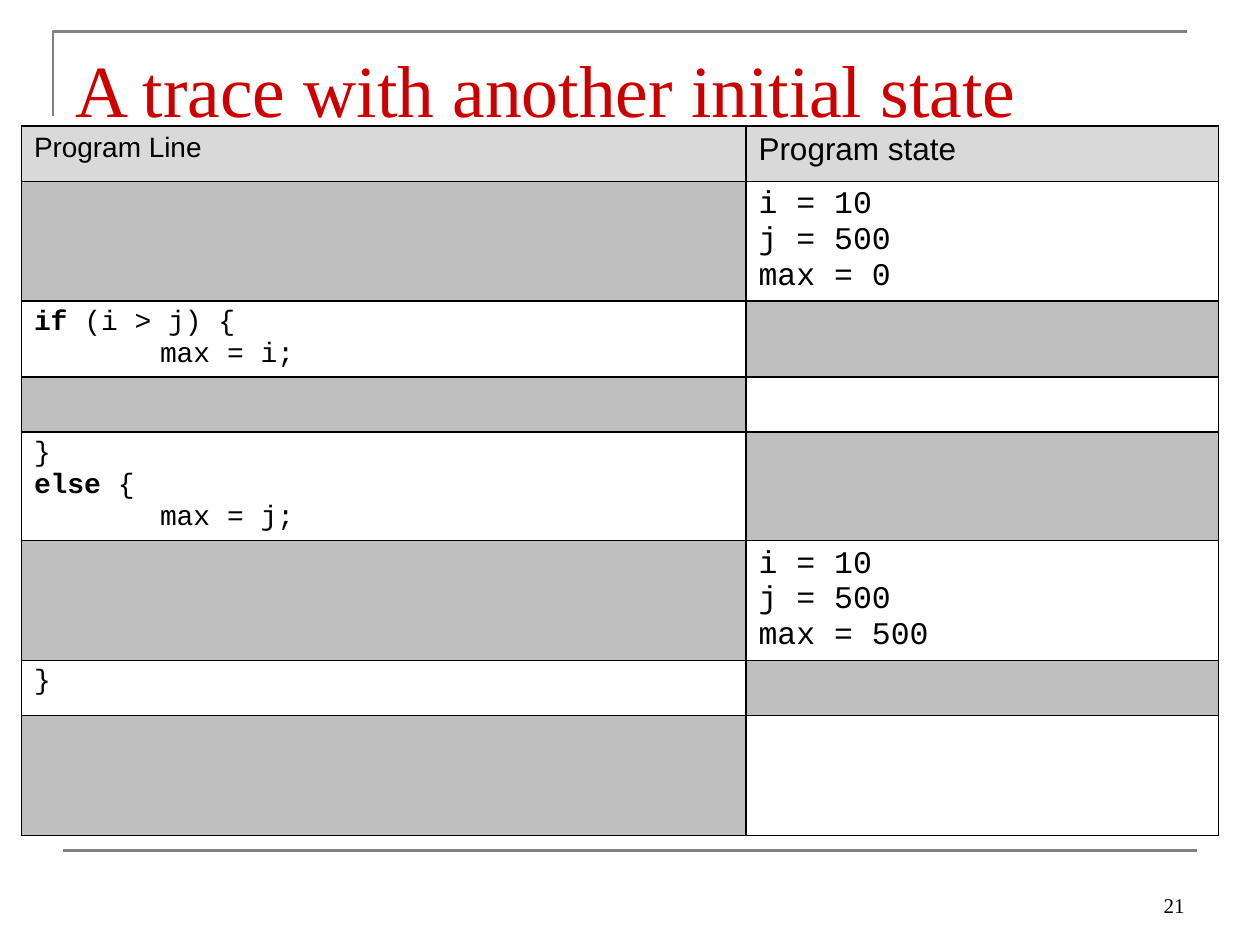
from lxml.etree import SubElement
from pptx import Presentation
from pptx.dml.color import RGBColor
from pptx.enum.shapes import MSO_CONNECTOR
from pptx.enum.text import MSO_ANCHOR, PP_ALIGN
from pptx.oxml.ns import qn
from pptx.util import Inches, Pt

BLACK, RULE_GRAY = "000000", "808080"
HEADER, UNUSED, WHITE = "D9D9D9", "BFBFBF", "FFFFFF"
SERIF, SANS, MONO = "Times New Roman", "Arial", "Courier New"
KEYWORDS = ("if", "else")
COLUMN_WIDTHS = (5.75, 3.75)
TRACE = [
    (0.95, None, ["i = 10", "j = 500", "max = 0"]),
    (0.6, ["if (i > j) {", "\tmax = i;"], None),
    (0.44, None, []),
    (0.86, ["}", "else {", "\tmax = j;"], None),
    (0.95, None, ["i = 10", "j = 500", "max = 500"]),
    (0.44, ["}"], None),
    (0.95, None, []),
]


def color(value):
    return RGBColor.from_string(value)


def add_run(paragraph, text, size, face, ink=BLACK, bold=False):
    run = paragraph.add_run()
    run.text = text
    run.font.size = Pt(size)
    run.font.name = face
    run.font.bold = bold
    run.font.color.rgb = color(ink)


def add_label(slide, text, left, top, width, height, size, ink, align, anchor):
    label = slide.shapes.add_textbox(
        Inches(left), Inches(top), Inches(width), Inches(height))
    frame = label.text_frame
    frame.word_wrap = True
    frame.vertical_anchor = anchor
    frame.paragraphs[0].alignment = align
    add_run(frame.paragraphs[0], text, size, SERIF, ink)


def style_rule(rule):
    rule.line.color.rgb = color(RULE_GRAY)
    rule.line.width = Pt(1.5)


def add_frame_rules(slide):
    builder = slide.shapes.build_freeform(Inches(0.42), Inches(0.92))
    builder.add_line_segments(
        [(Inches(0.42), Inches(0.25)), (Inches(9.42), Inches(0.25))], close=False)
    corner = builder.convert_to_shape()
    corner.shadow.inherit = False
    corner.fill.background()
    style_rule(corner)
    footer = slide.shapes.add_connector(
        MSO_CONNECTOR.STRAIGHT, Inches(0.5), Inches(6.75), Inches(9.5), Inches(6.75))
    style_rule(footer)
    SubElement(footer._element.spPr, qn("a:effectLst"))


def add_borders(cell):
    properties = cell._tc.get_or_add_tcPr()
    for position, side in enumerate(("a:lnL", "a:lnR", "a:lnT", "a:lnB")):
        border = properties.makeelement(qn(side), {"w": str(Pt(1))})
        fill = SubElement(border, qn("a:solidFill"))
        SubElement(fill, qn("a:srgbClr"), val=BLACK)
        properties.insert(position, border)


def set_code_tab(paragraph):
    properties = paragraph._p.get_or_add_pPr()
    properties.set("defTabSz", str(Inches(1)))
    stops = SubElement(properties, qn("a:tabLst"))
    SubElement(stops, qn("a:tab"), pos=str(Inches(1)), algn="l")


def fill_cell(cell, lines, size, face, background):
    cell.fill.solid()
    cell.fill.fore_color.rgb = color(background)
    cell.margin_bottom = Inches(0)
    add_borders(cell)
    frame = cell.text_frame
    for index, line in enumerate(lines):
        paragraph = frame.add_paragraph() if index else frame.paragraphs[0]
        if line.startswith("\t"):
            set_code_tab(paragraph)
        word, space, rest = line.partition(" ")
        if word in KEYWORDS:
            add_run(paragraph, word, size, face, bold=True)
            add_run(paragraph, space + rest, size, face)
        else:
            add_run(paragraph, line, size, face)


def add_trace_table(slide):
    heights = [0.44] + [height for height, _, _ in TRACE]
    table = slide.shapes.add_table(
        len(heights), len(COLUMN_WIDTHS), Inches(0.17), Inches(1),
        Inches(sum(COLUMN_WIDTHS)), Inches(sum(heights))).table
    table.horz_banding = False
    for column, width in zip(table.columns, COLUMN_WIDTHS):
        column.width = Inches(width)
    for row, height in zip(table.rows, heights):
        row.height = Inches(height)
    fill_cell(table.cell(0, 0), ["Program Line"], 16, SANS, HEADER)
    fill_cell(table.cell(0, 1), ["Program state"], 18, SANS, HEADER)
    for row, (_, code, state) in enumerate(TRACE, start=1):
        for column, (lines, size) in enumerate(((code, 16), (state, 18))):
            background = UNUSED if lines is None else WHITE
            fill_cell(table.cell(row, column), lines or [], size, MONO, background)


def main():
    deck = Presentation()
    deck.slide_width, deck.slide_height = Inches(10), Inches(7.5)
    slide = deck.slides.add_slide(deck.slide_layouts[6])
    add_frame_rules(slide)
    add_label(slide, "A trace with another initial state", 0.5, 0.3, 9, 1.25,
              42, "CC0000", PP_ALIGN.LEFT, MSO_ANCHOR.TOP)
    add_label(slide, "21", 7.17, 6.83, 2.33, 0.5,
              12, BLACK, PP_ALIGN.RIGHT, MSO_ANCHOR.BOTTOM)
    add_trace_table(slide)
    deck.save("out.pptx")


if __name__ == "__main__":
    main()
